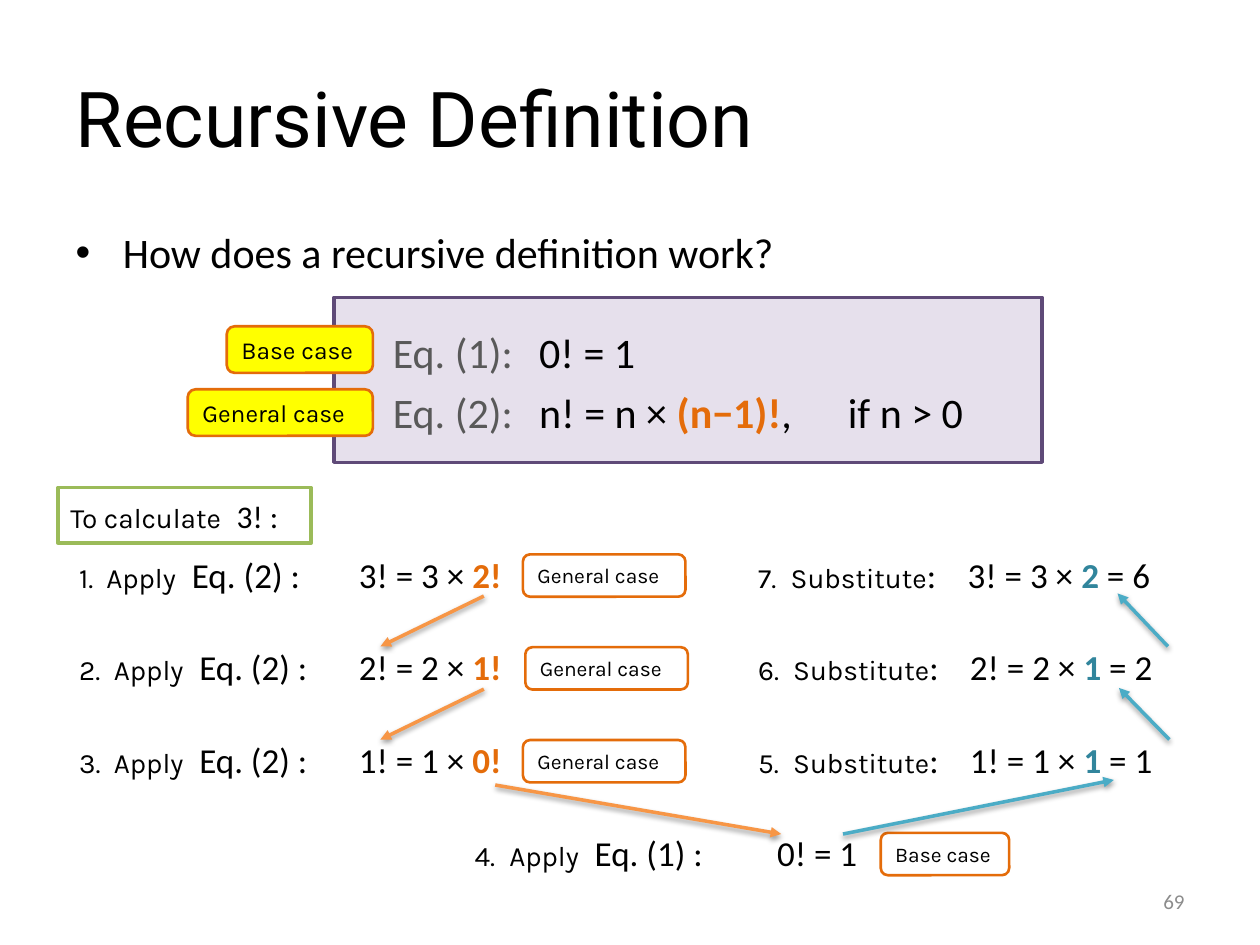
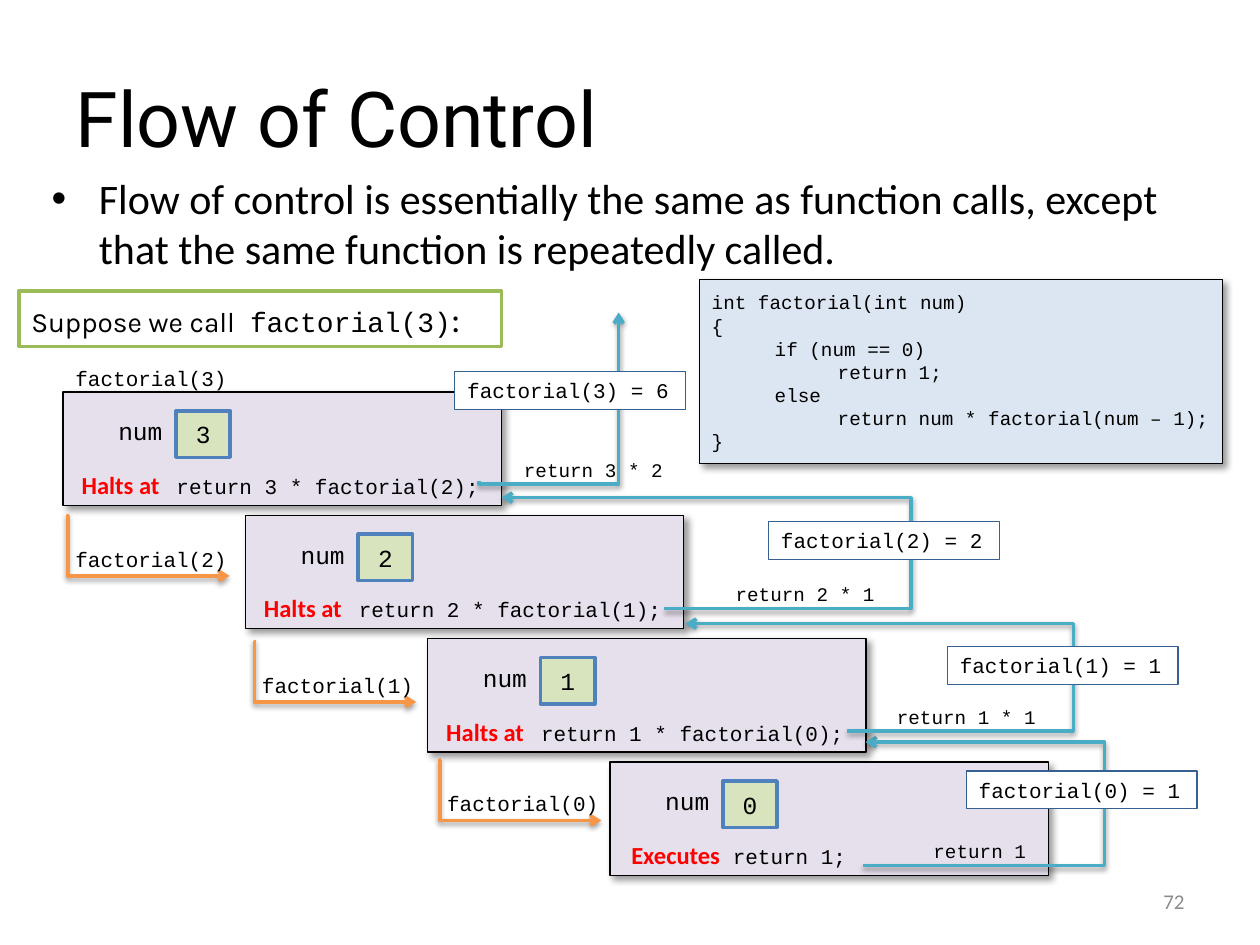
import pptx
import pptx.dml.color
import pptx.enum.shapes
import pptx.enum.text
import pptx.oxml
import pptx.util
from lxml import etree

Pt = pptx.util.Pt
RGB = pptx.dml.color.RGBColor
SHAPE = pptx.enum.shapes.MSO_SHAPE
CONNECTOR = pptx.enum.shapes.MSO_CONNECTOR
ANCHOR = pptx.enum.text.MSO_ANCHOR
ALIGN = pptx.enum.text.PP_ALIGN
AUTO_SIZE = pptx.enum.text.MSO_AUTO_SIZE
DRAWING = "{http://schemas.openxmlformats.org/drawingml/2006/main}"

BLACK, WHITE = RGB(0, 0, 0), RGB(0xFF, 0xFF, 0xFF)
GREY, PAGE_GREY = RGB(0x59, 0x59, 0x59), RGB(0x8C, 0x8C, 0x8C)
RED, YELLOW = RGB(0xFF, 0, 0), RGB(0xFF, 0xFF, 0)
ORANGE, ORANGE_ARROW = RGB(0xE4, 0x6C, 0x0A), RGB(0xF7, 0x96, 0x46)
TEAL, TEAL_ARROW = RGB(0x31, 0x85, 0x9C), RGB(0x4B, 0xAC, 0xC6)
LILAC, PURPLE = RGB(0xE6, 0xE0, 0xEC), RGB(0x5F, 0x4A, 0x78)
GREEN, PALE_GREEN = RGB(0x9B, 0xBB, 0x59), RGB(0xD7, 0xE4, 0xBD)
BLUE, DARK_BLUE, PALE_BLUE = RGB(0x4F, 0x81, 0xBD), RGB(0x37, 0x60, 0x92), RGB(0xDC, 0xE6, 0xF2)

# Shadows: opacity in percent, blur and distance in points, direction in degrees
ARROW_SHADOW = (38, 3.1, 1.6, 90)
FRAME_SHADOW = (40, 4, 3, 45)


def calibri(text, size=20, colour=BLACK, bold=False):
    """Describe a run in the body font."""
    return text, "Calibri", size, colour, bold


def karla(text, size=16):
    """Describe a run in the label font."""
    return text, "Karla", size, BLACK, False


def code(text, size=12):
    """Describe a run in the code font."""
    return text, "Courier New", size, BLACK, False


# ---- Content: Recursive Definition ----
EQUATION_NAMES = ["Eq. (1):", "Eq. (2):"]
EQUATIONS = [
    [calibri("0! = 1", 24)],
    [calibri("n! = n × ", 24), calibri("(n−1)!", 24, ORANGE, True), calibri(",\tif n > 0", 24)],
]
CASES = [("Base case", 129.6, 186.5, 83.5), ("General case", 107.3, 222.5, 105.8)]
# Step, tab stops, expression, called factorial, left edge of its tag
APPLY_STEPS = [
    ("1.", (15.5, 64.4), "3! = 3 × ", "2!", 298.8),
    ("2.", (19.8, 68.6), "2! = 2 × ", "1!", 300.2),
    ("3.", (19.8, 68.6), "1! = 1 × ", "0!", 298.8),
]
# Step, tab stops, expression, substituted value, result
SUBSTITUTE_STEPS = [
    ("7.", (18.6, 119.7), "3! = 3 × ", "2", " = 6"),
    ("6.", (20, 121), "2! = 2 × ", "1", " = 2"),
    ("5.", (20, 121), "1! = 1 × ", "1", " = 1"),
]
STEP_ARROWS = [
    ((276.5, 340.6), (217.4, 369.4), ORANGE_ARROW),
    ((276.5, 393.8), (217.4, 422.6), ORANGE_ARROW),
    ((283, 448.6), (446.4, 476.6), ORANGE_ARROW),
    ((481.7, 476.6), (636.5, 445.7), TEAL_ARROW),
    ((668.2, 422.6), (639.4, 393.1), TEAL_ARROW),
    ((667.4, 369.4), (638.6, 339.1), TEAL_ARROW),
]

# ---- Content: Flow of Control ----
CODE_LINES = [
    "int factorial(int num)", "{", "\tif (num == 0)", "\t\treturn 1;",
    "\telse", "\t\treturn num * factorial(num – 1);", "}",
]
# Value of num, status, statement, left inset of the status line
FRAMES = [
    ("3", "Halts at\t", "return 3 * factorial(2);", 3.6),
    ("2", "Halts at\t", "return 2 * factorial(1);", 3.6),
    ("1", "Halts at\t", "return 1 * factorial(0);", 3.6),
    ("0", "Executes", " return 1;", 5.2),
]
# Call, corner where its arrow starts
CALLS = [
    ("factorial(2)", 39.6, 294.5),
    ("factorial(1)", 146.2, 366.5),
    ("factorial(0)", 252, 434.2),
]
# Start, end, turning coordinate, vertical first, result and its place, return and its place
RETURNS = [
    ((493.2, 494.6), (494.6, 424.1), 632.2, False,
     "factorial(0) = 1", (552.2, 440.6), "return 1", (526.3, 475.9)),
    ((483.8, 417.6), (391.7, 356.4), 613.4, False,
     "factorial(1) = 1", (541.4, 369.4), "return 1 * 1", (505.4, 399.6)),
    ((379.4, 347.8), (286.6, 284.4), 520.6, False,
     "factorial(2) = 2", (439.2, 298.1), "return 2 * 1", (413.3, 329)),
    ((273.6, 275), (353.5, 178.6), 276.5, True,
     "factorial(3) = 6", (259.9, 212.4), "return 3 * 2", (292.3, 258.5)),
]


def add_runs(paragraph, runs):
    """Append described runs to a paragraph."""
    for text, font, size, colour, bold in runs:
        run = paragraph.add_run()
        run.text = text
        run.font.name, run.font.size, run.font.bold = font, Pt(size), bold
        run.font.color.rgb = colour


def write(shape, lines, align=ALIGN.LEFT, anchor=ANCHOR.TOP, wrap=False, tabs=(), spacing=None):
    """Fill a shape with lines of runs, with optional tab stops."""
    frame = shape.text_frame
    frame.word_wrap = wrap
    frame.auto_size = AUTO_SIZE.NONE if wrap else AUTO_SIZE.SHAPE_TO_FIT_TEXT
    frame.vertical_anchor = anchor
    for index, runs in enumerate(lines):
        paragraph = frame.add_paragraph() if index else frame.paragraphs[0]
        paragraph.alignment = align
        if spacing:
            paragraph.line_spacing = spacing
        if tabs:
            tab_list = etree.SubElement(paragraph._p.get_or_add_pPr(), DRAWING + "tabLst")
            for position in tabs:
                etree.SubElement(tab_list, DRAWING + "tab", pos=str(int(Pt(position))), algn="l")
        add_runs(paragraph, runs)


def add_text(slide, left, top, width, height, lines, **options):
    """Add a text box."""
    write(slide.shapes.add_textbox(Pt(left), Pt(top), Pt(width), Pt(height)), lines, **options)


def add_box(slide, left, top, width, height, fill, line, weight, lines=(),
            kind=SHAPE.RECTANGLE, shadow=None, **options):
    """Add an outlined shape, with text if there is any."""
    shape = slide.shapes.add_shape(kind, Pt(left), Pt(top), Pt(width), Pt(height))
    shape.shadow.inherit = False
    if fill is None:
        shape.fill.background()
    else:
        shape.fill.solid()
        shape.fill.fore_color.rgb = fill
    shape.line.color.rgb = line
    shape.line.width = Pt(weight)
    if shadow:
        add_shadow(shape, *shadow)
    if lines:
        write(shape, lines, **options)


def add_shadow(shape, opacity, blur, distance, direction):
    """Give a shape or connector an outer black shadow."""
    properties = shape._element.spPr
    effects = properties.find(DRAWING + "effectLst")
    if effects is None:
        effects = etree.SubElement(properties, DRAWING + "effectLst")
    outer = etree.SubElement(effects, DRAWING + "outerShdw", blurRad=str(int(Pt(blur))),
                             dist=str(int(Pt(distance))), dir=str(direction * 60000),
                             rotWithShape="0")
    colour = etree.SubElement(outer, DRAWING + "srgbClr", val="000000")
    etree.SubElement(colour, DRAWING + "alpha", val=str(opacity * 1000))


def add_arrow(slide, start, end, colour, kind=CONNECTOR.STRAIGHT, head="triangle"):
    """Add a shadowed connector with an arrowhead at its end."""
    connector = slide.shapes.add_connector(kind, *[Pt(value) for value in (*start, *end)])
    connector.line.color.rgb = colour
    connector.line.width = Pt(2)
    etree.SubElement(connector.line._get_or_add_ln(), DRAWING + "tailEnd", type=head)
    add_shadow(connector, *ARROW_SHADOW)
    return connector


def add_elbow(slide, start, end, turn, colour, vertical=False):
    """Add an elbow arrow whose middle leg lies at the coordinate turn."""
    axis = 1 if vertical else 0
    ratio = (turn - start[axis]) / (end[axis] - start[axis])
    if vertical:  # lay the arrow flat around its centre, then turn it back
        x, y = (start[0] + end[0]) / 2, (start[1] + end[1]) / 2
        start, end = [(x + point[1] - y, y - point[0] + x) for point in (start, end)]
    connector = add_arrow(slide, start, end, colour, CONNECTOR.ELBOW, "arrow")
    properties = connector._element.spPr
    if vertical:
        properties.find(DRAWING + "xfrm").set("rot", str(90 * 60000))
    geometry = properties.find(DRAWING + "prstGeom")
    adjustments = geometry.find(DRAWING + "avLst")
    if adjustments is None:
        adjustments = etree.SubElement(geometry, DRAWING + "avLst")
    etree.SubElement(adjustments, DRAWING + "gd", name="adj1", fmla=f"val {round(ratio * 100000)}")


def add_slide(presentation, title, bullet, body_place, number):
    """Add a slide with its title, bullet and page number."""
    slide = presentation.slides.add_slide(presentation.slide_layouts[1])
    body = slide.placeholders[1]
    for shape, place in ((slide.shapes.title, (36, 21.6, 648, 90)), (body, body_place)):
        shape.left, shape.top, shape.width, shape.height = [Pt(value) for value in place]
    write(slide.shapes.title, [[(title, "Roboto", 44, BLACK, False)]],
          anchor=ANCHOR.MIDDLE, wrap=True)
    write(body, [[calibri(bullet, 24)]], wrap=True)
    add_text(slide, 516.2, 500.4, 167.8, 28.8, [[calibri(number, 12, PAGE_GREY)]],
             align=ALIGN.RIGHT, anchor=ANCHOR.MIDDLE, wrap=True)
    return slide


def add_tag(slide, text, left, top, width):
    """Add a small rounded tag naming the case."""
    add_box(slide, left, top, width, 24.2, None, ORANGE, 1.5, [[karla(text, 12)]],
            kind=SHAPE.ROUNDED_RECTANGLE)


def build_definition(presentation):
    """Build the slide that unrolls 3! step by step."""
    slide = add_slide(presentation, "Recursive Definition",
                      "How does a recursive definition work?", (36, 126, 648, 356.4), "69")
    add_box(slide, 190.8, 169.9, 404.6, 94.3, LILAC, PURPLE, 2)
    add_text(slide, 301, 177.1, 261.4, 77, EQUATIONS, spacing=1.2, tabs=(176.4,))
    add_text(slide, 217.4, 177.1, 83.5, 77,
             [[calibri(name, 24, GREY)] for name in EQUATION_NAMES], spacing=1.2)
    for name, left, top, width in CASES:
        add_box(slide, left, top, width, 26.6, YELLOW, ORANGE, 1.5, [[karla(name, 14)]],
                kind=SHAPE.ROUNDED_RECTANGLE)
    add_box(slide, 33.1, 278.6, 144.7, 31.7, WHITE, GREEN, 2,
            [[karla("To calculate"), calibri("\t"), calibri("3! :", 18)]], tabs=(95,))

    row_tops = [312.5 + 53.05 * row for row in range(4)]
    for top, (step, tabs, expression, call, tag_left) in zip(row_tops, APPLY_STEPS):
        add_text(slide, 38.2, top, 162.7, 31.7,
                 [[karla(step + "\tApply"), calibri("\tEq. (2) :")]], tabs=tabs)
        add_text(slide, 198, top, 97.9, 31.7,
                 [[calibri(expression), calibri(call, colour=ORANGE, bold=True)]])
        add_tag(slide, "General case", tag_left, top + 4.3, 92.9)
    for top, (step, tabs, expression, value, result) in zip(row_tops, SUBSTITUTE_STEPS):
        add_text(slide, 426.2, top, 257, 31.7,
                 [[karla(step + "\tSubstitute"), calibri(":\t" + expression),
                   calibri(value, colour=TEAL, bold=True), calibri(result)]],
                 wrap=True, tabs=tabs)
    add_text(slide, 264.2, row_tops[3], 163.4, 31.7,
             [[karla("4.\tApply"), calibri("\tEq. (1) :")]], tabs=(19.8, 68.6))
    add_text(slide, 437, row_tops[3], 60.5, 31.7, [[calibri("0! = 1")]])
    add_tag(slide, "Base case", 503.3, row_tops[3] + 4.3, 73.4)
    for start, end, colour in STEP_ARROWS:
        add_arrow(slide, start, end, colour)


def build_flow(presentation):
    """Build the slide with the chain of calls and returns."""
    slide = add_slide(
        presentation, "Flow of Control",
        "Flow of control is essentially the same as function calls, except that "
        "the same function is repeatedly called.", (22.3, 95, 676.1, 395.3), "72")
    add_box(slide, 10.8, 166.3, 275.8, 31.7, WHITE, GREEN, 2,
            [[karla("Suppose we call"), calibri("\t"), code("factorial(3)", 16), calibri(":")]],
            tabs=(125,))
    add_box(slide, 399.6, 159.8, 298.8, 105.1, PALE_BLUE, BLACK, 0.75,
            [[code(line, 11)] for line in CODE_LINES], shadow=FRAME_SHADOW,
            anchor=ANCHOR.MIDDLE, wrap=True, tabs=(36, 72))

    add_text(slide, 36, 205.2, 102.2, 21.6, [[code("factorial(3)")]])
    for index, (value, status, statement, inset) in enumerate(FRAMES):
        left, top = 36 + 104.16 * index, 224 + 70.5 * index
        add_box(slide, left, top, 250.6, 64.8, LILAC, BLACK, 0.75, shadow=FRAME_SHADOW)
        add_text(slide, left + 24.5, top + 10.4, 39.6, 24.5, [[code("num", 14)]])
        add_box(slide, left + 64.6, top + 10.8, 31, 26.6, PALE_GREEN, BLUE, 2,
                [[code(value, 14)]], align=ALIGN.CENTER, anchor=ANCHOR.MIDDLE, wrap=True)
        add_text(slide, left + inset, top + 41, 244.8, 24.5,
                 [[calibri(status, 14, RED, True), code(statement)]], tabs=(54.2,))
    for call, left, top in CALLS:
        add_elbow(slide, (left, top), (left + 91.6, top + 34.6), left - 0.7, ORANGE_ARROW)
        add_text(slide, left - 3.6, top + 14.2, 102.2, 21.6, [[code(call)]])
    for start, end, turn, vertical, result, box_place, label, label_place in RETURNS:
        add_elbow(slide, start, end, turn, TEAL_ARROW, vertical)
        add_box(slide, *box_place, 131.8, 21.6, WHITE, DARK_BLUE, 0.75, [[code(result)]])
        # 6.6 points a letter, plus both insets and a little slack
        add_text(slide, *label_place, 16 + 6.6 * len(label), 20.9, [[code(label, 11)]])


presentation = pptx.Presentation()
presentation.slide_width, presentation.slide_height = Pt(720), Pt(540)
build_definition(presentation)
build_flow(presentation)
presentation.save("out.pptx")
